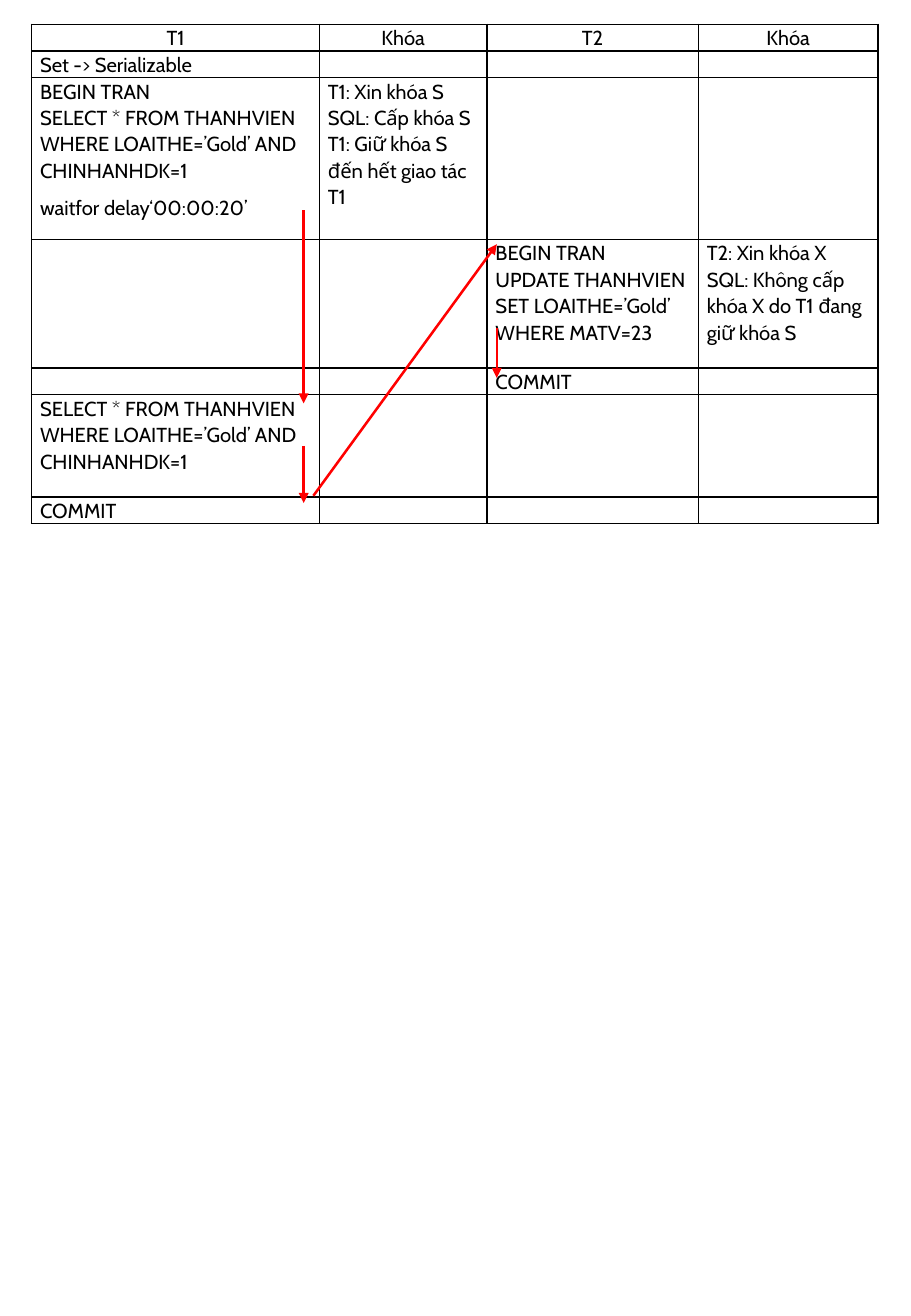
from dataclasses import dataclass

from lxml import etree
from pptx import Presentation
from pptx import util as u
from pptx.dml.color import RGBColor
from pptx.enum import shapes, text
from pptx.oxml import ns


@dataclass(frozen=True)
class Theme:
    font: str = "Cabin"
    size: int = 12
    ink: str = "000000"
    arrow: str = "FF0000"
    border_width: int = 1
    arrow_width: float = 1.5
    spacing: float = 1.07
    wide_spacing: float = 1.5


THEME = Theme()
COLUMNS = [2.37, 1.38, 1.74, 1.48]
ROWS = [0.22, 0.22, 1.33, 1.06, 0.22, 0.84, 0.22]
QUERY = "SELECT * FROM THANHVIEN WHERE LOAITHE=’Gold’ AND CHINHANHDK=1"
WAIT = "waitfor delay‘00:00:20’"
SCHEDULE = [
    [["T1"], ["Khóa"], ["T2"], ["Khóa"]],
    [["Set -> Serializable"], [], [], []],
    [
        ["BEGIN TRAN", QUERY, WAIT],
        ["T1: Xin khóa S", "SQL: Cấp khóa S", "T1: Giữ khóa S đến hết giao tác T1"],
        [],
        [],
    ],
    [
        [],
        [],
        ["BEGIN TRAN", "UPDATE THANHVIEN SET LOAITHE=’Gold’ WHERE MATV=23"],
        ["T2: Xin khóa X", "SQL: Không cấp khóa X do T1 đang giữ khóa S"],
    ],
    [[], [], ["COMMIT"], []],
    [[QUERY], [], [], []],
    [["COMMIT"], [], [], []],
]
ARROWS = [
    (2.5, 1.73, 2.5, 3.32),
    (2.5, 3.67, 2.5, 4.14),
    (2.58, 4.08, 4.09, 2.01),
    (4.09, 2.7, 4.09, 3.11),
]


def add_borders(cell):
    tc_pr = cell._tc.get_or_add_tcPr()
    for side in ("a:lnL", "a:lnR", "a:lnT", "a:lnB"):
        ln = etree.SubElement(tc_pr, ns.qn(side), w=str(u.Pt(THEME.border_width)))
        fill = etree.SubElement(ln, ns.qn("a:solidFill"))
        etree.SubElement(fill, ns.qn("a:srgbClr"), val=THEME.ink)


def add_paragraph(p, line, align):
    p.alignment = align
    p.line_spacing = THEME.wide_spacing if line == WAIT else THEME.spacing
    r = p.add_run()
    r.text = line
    r.font.name = THEME.font
    r.font.size = u.Pt(THEME.size)
    r.font.color.rgb = RGBColor.from_string(THEME.ink)


def fill_cell(cell, lines, align):
    cell.margin_left = cell.margin_right = u.Inches(0.07)
    cell.margin_top = cell.margin_bottom = 0
    add_borders(cell)
    cell.fill.background()
    tf = cell.text_frame
    for i, line in enumerate(lines):
        add_paragraph(tf.add_paragraph() if i else tf.paragraphs[0], line, align)
    if not lines:
        end = etree.SubElement(tf.paragraphs[0]._p, ns.qn("a:endParaRPr"), sz=str(THEME.size * 100))
        etree.SubElement(end, ns.qn("a:latin"), typeface=THEME.font)


def add_schedule(s):
    frame = s.shapes.add_table(
        len(ROWS), len(COLUMNS), u.Inches(0.26), u.Inches(0.2),
        u.Inches(sum(COLUMNS)), u.Inches(sum(ROWS)),
    )
    table = frame.table
    table.first_row = table.horz_banding = False
    for column, width in zip(table.columns, COLUMNS):
        column.width = u.Inches(width)
    for i, (row, height) in enumerate(zip(table.rows, ROWS)):
        row.height = u.Inches(height)
        align = text.PP_ALIGN.LEFT if i else text.PP_ALIGN.CENTER
        for cell, lines in zip(row.cells, SCHEDULE[i]):
            fill_cell(cell, lines, align)


def add_arrow(s, ends):
    arrow = s.shapes.add_connector(
        shapes.MSO_CONNECTOR.STRAIGHT, *[u.Inches(v) for v in ends]
    )
    arrow.line.color.rgb = RGBColor.from_string(THEME.arrow)
    arrow.line.width = u.Pt(THEME.arrow_width)
    etree.SubElement(arrow.line._get_or_add_ln(), ns.qn("a:tailEnd"), type="triangle")
    etree.SubElement(arrow._element.spPr, ns.qn("a:effectLst"))


def main():
    prs = Presentation()
    prs.slide_width = u.Inches(7.5)
    prs.slide_height = u.Inches(10.83)
    s = prs.slides.add_slide(prs.slide_layouts[6])
    add_schedule(s)
    for ends in ARROWS:
        add_arrow(s, ends)
    prs.save("out.pptx")


if __name__ == "__main__":
    main()
